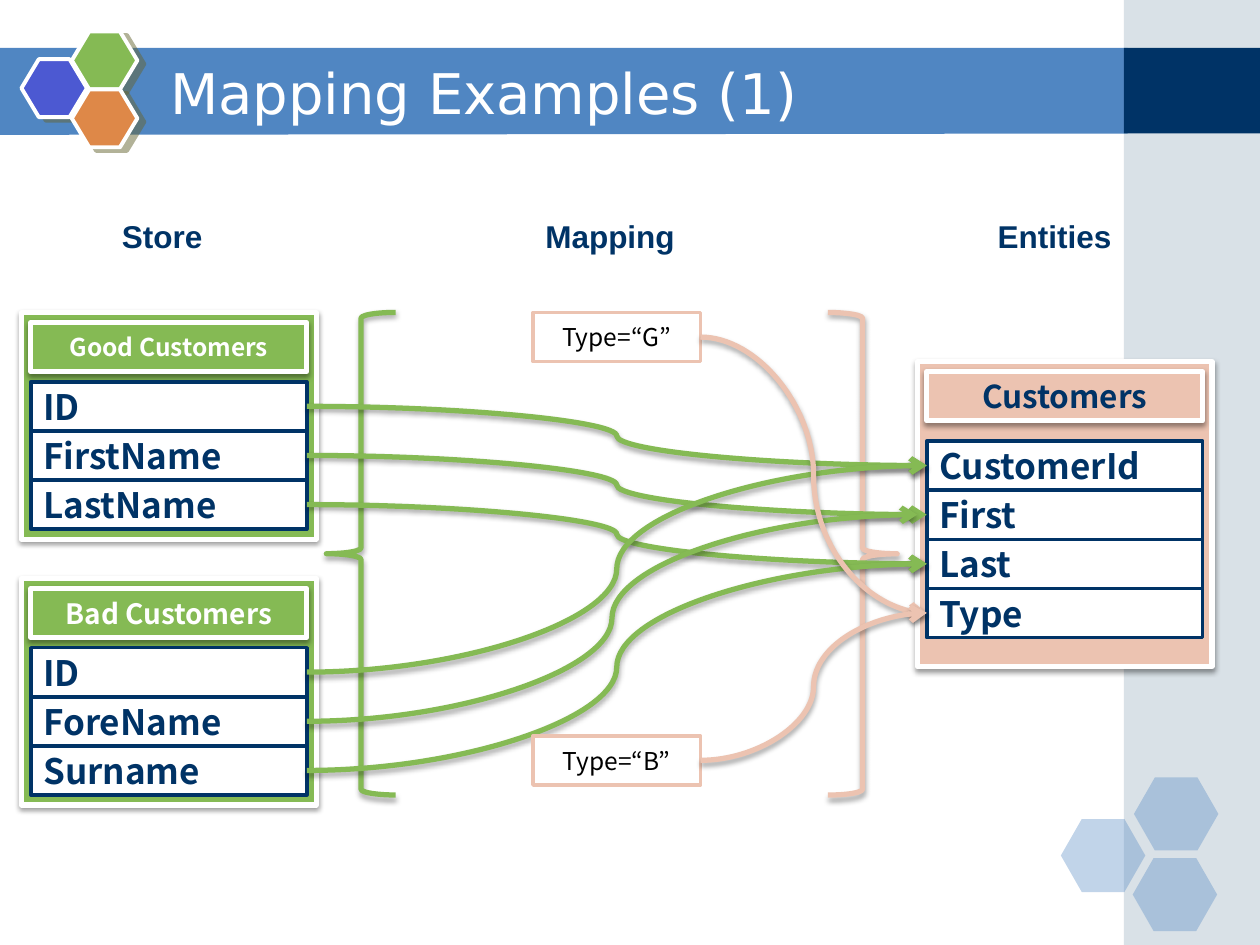
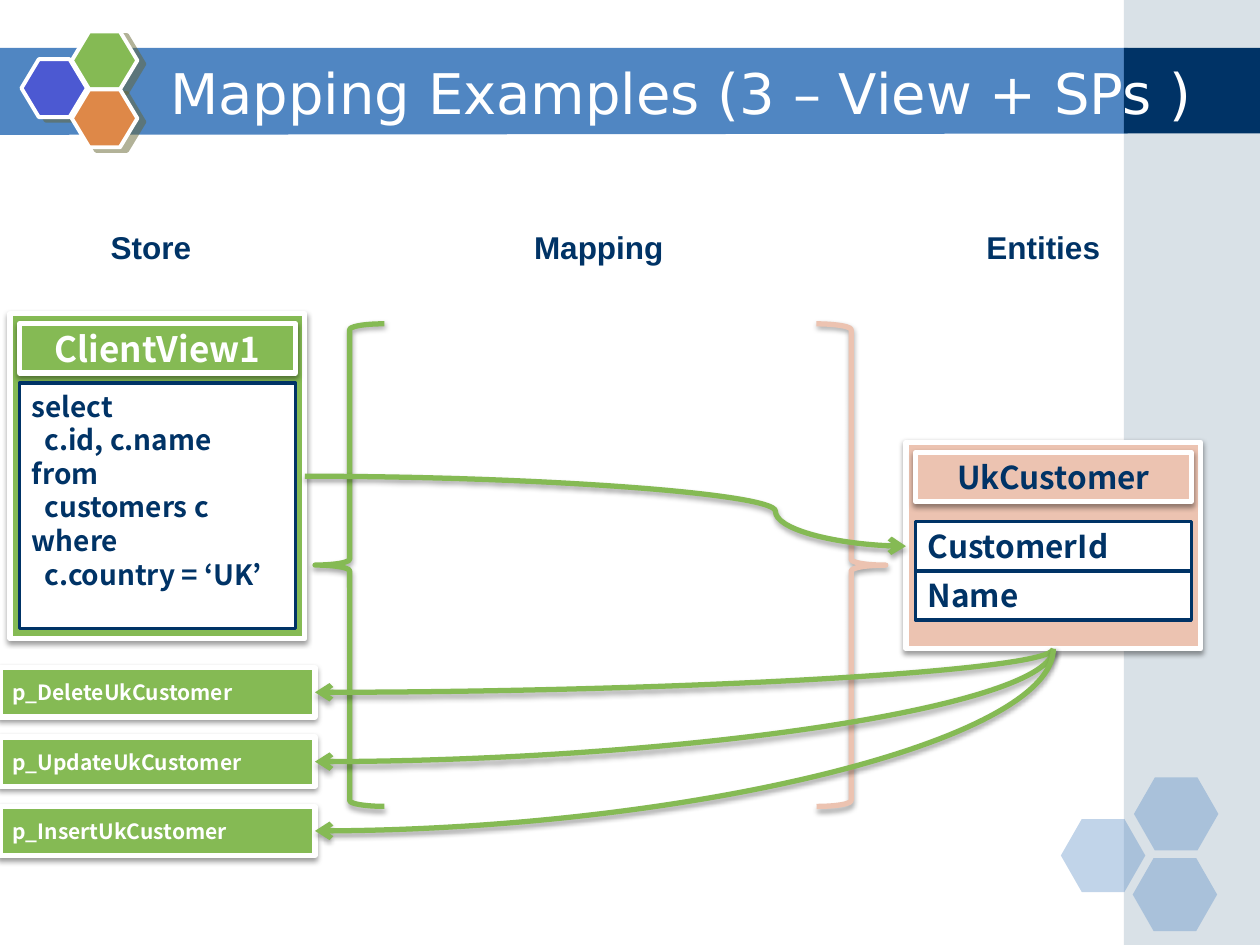
import pptx
import pptx.util
import pptx.dml.color
import pptx.enum.shapes
import pptx.enum.text
import pptx.oxml.ns
from lxml import etree

Inches = pptx.util.Inches
Pt = pptx.util.Pt
SHAPE = pptx.enum.shapes.MSO_SHAPE
ANCHOR = pptx.enum.text.MSO_ANCHOR
ALIGN = pptx.enum.text.PP_ALIGN
qn = pptx.oxml.ns.qn

NAVY, WHITE, BLACK = "003366", "FFFFFF", "000000"
GREEN, PEACH, BLUE = "85BA54", "ECC3B1", "5086C2"
PALE, VIOLET, ORANGE = "A0B5C4", "4C59D2", "DE8848"
BODY_FONT, TITLE_FONT, HEADING_FONT = "Noto Sans CJK JP", "DejaVu Sans", "Arial"

# colour, opacity %, blur pt, distance pt, direction in degrees
PANEL_SHADOW = ("000000", 38, 3.1, 1.6, 90)
LINE_SHADOW = ("000000", 35, 3.1, 1.8, 90)
LOGO_SHADOW = ("666633", 50, 0, 4.5, 27)

PANEL_W, ROW_W, ROW_H, INSET = 2.34, 2.19, 0.39, 0.075
STORE_ROWS, ENTITY_ROWS = 0.55, 0.63  # first row below the panel top

HEADINGS = [("Store", 0.87, 1.06), ("Mapping", 4.23, 1.58), ("Entities", 7.82, 1.42)]
BRACES = [(2.59, GREEN, 0), (6.57, PEACH, 180)]
CORNER_HEXAGONS = [(8.42, 6.5), (9, 6.17), (8.99, 6.81)]
LOGO_HEXAGONS = [(0.17, 0.47, VIOLET), (0.57, 0.25, GREEN), (0.57, 0.71, ORANGE)]

TABLES = {
    "title": "Mapping Examples (1)", "title_width": 8.5, "shift": (0, 0),
    "stores": [
        ("Good Customers", 14, 2.48, ["ID", "FirstName", "LastName"]),
        ("Bad Customers", 16, 4.59, ["ID", "ForeName", "Surname"]),
    ],
    "entity": ("Customers", ["CustomerId", "First", "Last", "Type"]),
    "conditions": [("Type=“G”", 2.48), ("Type=“B”", 5.84)],
}
VIEW = {
    "title": "Mapping Examples (3 – View + SPs )", "title_width": 8.75, "shift": (-0.09, 0.09),
    "view": ("ClientView1", "select\n  c.id, c.name\nfrom\n  customers c\nwhere\n  c.country = ‘UK’"),
    "entity": ("UkCustomer", ["CustomerId", "Name"]),
    "procedures": ["p_DeleteUkCustomer", "p_UpdateUkCustomer", "p_InsertUkCustomer"],
}


def rgb(value):
    return pptx.dml.color.RGBColor.from_string(value)


def write(part, text, size=20, color=NAVY, font=BODY_FONT, bold=True,
          align=ALIGN.LEFT, anchor=ANCHOR.MIDDLE):
    frame = part.text_frame
    frame.word_wrap = True
    frame.auto_size = pptx.enum.text.MSO_AUTO_SIZE.NONE
    frame.vertical_anchor = anchor
    frame.text = text
    for paragraph in frame.paragraphs:
        paragraph.alignment = align
        paragraph.font.size = Pt(size)
        paragraph.font.name = font
        paragraph.font.bold = bold
        paragraph.font.color.rgb = rgb(color)


def set_shadow(part, shadow):
    """Replace the theme shadow with the given one, or with none."""
    effects = etree.SubElement(part.element.spPr, qn("a:effectLst"))
    if shadow:
        color, opacity, blur, distance, direction = shadow
        outer = etree.SubElement(effects, qn("a:outerShdw"), blurRad=str(Pt(blur)),
                                 dist=str(Pt(distance)), dir=str(direction * 60000),
                                 rotWithShape="0")
        tint = etree.SubElement(outer, qn("a:srgbClr"), val=color)
        etree.SubElement(tint, qn("a:alpha"), val=str(opacity * 1000))


def style(part, fill=None, line=None, width=3, shadow=None, opacity=100):
    if fill:
        part.fill.solid()
        part.fill.fore_color.rgb = rgb(fill)
        if opacity < 100:
            tint = part.element.spPr.find(".//" + qn("a:srgbClr"))
            etree.SubElement(tint, qn("a:alpha"), val=str(opacity * 1000))
    else:
        part.fill.background()
    if line:
        part.line.color.rgb = rgb(line)
        part.line.width = Pt(width)
    else:
        part.line.fill.background()
    set_shadow(part, shadow)


def add(slide, kind, x, y, w, h, **look):
    part = slide.shapes.add_shape(kind, Inches(x), Inches(y), Inches(w), Inches(h))
    style(part, **look)
    return part


def curve(slide, start, end, color=GREEN, bend=0.5):
    arrow = slide.shapes.add_connector(
        pptx.enum.shapes.MSO_CONNECTOR.CURVE, *(Inches(v) for v in (*start, *end)))
    arrow.line.color.rgb = rgb(color)
    arrow.line.width = Pt(3)
    etree.SubElement(arrow.line._get_or_add_ln(), qn("a:tailEnd"), type="arrow")
    set_shadow(arrow, LINE_SHADOW)
    if bend != 0.5:
        guides = arrow.element.spPr.find(".//" + qn("a:avLst"))
        etree.SubElement(guides, qn("a:gd"), name="adj1", fmla=f"val {round(bend * 100000)}")
    return arrow


def quarter_curve(slide, start, end):
    """Arrow that leaves downwards and arrives at the left: a quarter-turned simple curve."""
    (x1, y1), (x2, y2) = start, end
    mid_x, mid_y = (x1 + x2) / 2, (y1 + y2) / 2
    half_w, half_h = (y2 - y1) / 2, (x1 - x2) / 2
    arrow = curve(slide, (mid_x - half_w, mid_y - half_h), (mid_x + half_w, mid_y + half_h))
    arrow.element.spPr.find(qn("a:prstGeom")).set("prst", "curvedConnector2")
    arrow.element.spPr.find(qn("a:xfrm")).set("rot", str(90 * 60000))


def panel(slide, x, y, h, header, rows, color, rows_top, header_size, header_color,
          row_h=ROW_H, row_size=20):
    """Draw a headed panel and return the middle height of each row."""
    look = dict(fill=color, line=WHITE, shadow=PANEL_SHADOW)
    add(slide, SHAPE.RECTANGLE, x, y, PANEL_W, h, **look)
    left = x + INSET
    head = add(slide, SHAPE.RECTANGLE, left, y + 0.08, ROW_W, ROW_H, **look)
    write(head, header, size=header_size, color=header_color, align=ALIGN.CENTER)
    middles = []
    for i, text in enumerate(rows):
        top = y + rows_top + i * row_h
        row = add(slide, SHAPE.RECTANGLE, left, top, ROW_W, row_h, fill=WHITE, line=NAVY, width=2)
        write(row, text, size=row_size, anchor=ANCHOR.TOP if "\n" in text else ANCHOR.MIDDLE)
        middles.append(top + row_h / 2)
    return middles


def move_decoration_to_layout(slide, layout):
    """Draw the bands and hexagons on the slide, then put them at the back of its layout."""
    kept = set(slide.shapes.element)
    outline = slide.shapes.build_freeform(Inches(-0.01), Inches(0.38), scale=1.0)
    outline.add_line_segments([(Inches(x), Inches(y)) for x, y in
                               [(8.95, 0.38), (8.95, 1.06), (-0.01, 1.07)]], close=True)
    style(outline.convert_to_shape(), fill=BLUE)
    add(slide, SHAPE.RECTANGLE, 8.92, 0, 1.08, 7.5, fill=PALE, opacity=40)
    add(slide, SHAPE.RECTANGLE, 8.92, 0.38, 1.08, 0.68, fill=NAVY)
    for x, y in CORNER_HEXAGONS:
        hexagon = add(slide, SHAPE.HEXAGON, x, y, 0.67, 0.58, fill=BLUE, opacity=35)
        hexagon.adjustments[0] = 0.286
    for x, y, color in LOGO_HEXAGONS:
        hexagon = add(slide, SHAPE.HEXAGON, x, y, 0.52, 0.46, fill=color,
                      line=WHITE, width=2.25, shadow=LOGO_SHADOW)
        hexagon.adjustments[0] = 0.3
    drawn = [element for element in slide.shapes.element if element not in kept]
    for position, element in enumerate(drawn, start=2):
        layout.shapes.element.insert(position, element)


def start_slide(deck, layout, content):
    slide = deck.slides.add_slide(layout)
    title = slide.shapes.title
    title.left, title.top = Inches(1.25), Inches(0.42)
    title.width, title.height = Inches(content["title_width"]), Inches(0.62)
    write(title, content["title"], size=32, color=WHITE, font=TITLE_FONT, bold=False)
    dx, dy = content["shift"]
    for text, x, w in HEADINGS:
        heading = slide.shapes.add_textbox(Inches(x + dx), Inches(1.67 + dy), Inches(w), Inches(0.5))
        write(heading, text, size=18, font=HEADING_FONT, anchor=ANCHOR.TOP)
    for x, color, turn in BRACES:
        brace = add(slide, SHAPE.LEFT_BRACE, x + dx, 2.48 + dy, 0.55, 3.83,
                    line=color, shadow=LINE_SHADOW)
        brace.rotation = turn
    return slide


def draw_tables(slide):
    store_x, entity_x = 0.17, 7.28
    stores = [panel(slide, store_x, y, 1.8, name, rows, GREEN, STORE_ROWS, size, WHITE)
              for name, size, y, rows in TABLES["stores"]]
    name, rows = TABLES["entity"]
    *columns, type_row = panel(slide, entity_x, 2.87, 2.42, name, rows, PEACH,
                               ENTITY_ROWS, 18, NAVY)
    row_end = entity_x + INSET
    for (_, _, _, fields), middles in zip(TABLES["stores"], stores):
        for field, start, end in zip(fields, middles, columns):
            target = entity_x if field == "ForeName" else row_end
            curve(slide, (store_x + INSET + ROW_W, start), (target, end))
    for text, y in TABLES["conditions"]:
        condition = add(slide, SHAPE.RECTANGLE, 4.23, y, 1.33, ROW_H,
                        fill=WHITE, line=PEACH, width=2)
        write(condition, text, size=14, color=BLACK, bold=False, align=ALIGN.CENTER)
        curve(slide, (5.56, y + ROW_H / 2), (row_end, type_row), PEACH)


def draw_view(slide):
    view_x, view_y, view_h = 0.08, 2.49, 2.58
    entity_x, entity_y, entity_h = 7.19, 3.51, 1.64
    name, rows = VIEW["entity"]
    key_row = panel(slide, entity_x, entity_y, entity_h, name, rows, PEACH,
                    ENTITY_ROWS, 18, NAVY, row_size=18)[0]
    name, query = VIEW["view"]
    panel(slide, view_x, view_y, view_h, name, [query], GREEN, STORE_ROWS, 20, WHITE,
          row_h=5 * ROW_H, row_size=16)
    curve(slide, (view_x + PANEL_W, view_y + view_h / 2), (entity_x, key_row), bend=0.783)
    for i, text in enumerate(VIEW["procedures"]):
        y = 5.3 + 0.55 * i
        procedure = add(slide, SHAPE.RECTANGLE, 0, y, 2.5, ROW_H,
                        fill=GREEN, line=WHITE, shadow=PANEL_SHADOW)
        write(procedure, text, size=12, color=WHITE)
        quarter_curve(slide, (entity_x + PANEL_W / 2, entity_y + entity_h), (2.5, y + ROW_H / 2))


def main():
    deck = pptx.Presentation()
    deck.slide_width, deck.slide_height = Inches(10), Inches(7.5)
    layout = deck.slide_layouts.get_by_name("Title Only")
    tables_slide = start_slide(deck, layout, TABLES)
    move_decoration_to_layout(tables_slide, layout)
    draw_tables(tables_slide)
    draw_view(start_slide(deck, layout, VIEW))
    deck.save("out.pptx")


if __name__ == "__main__":
    main()
